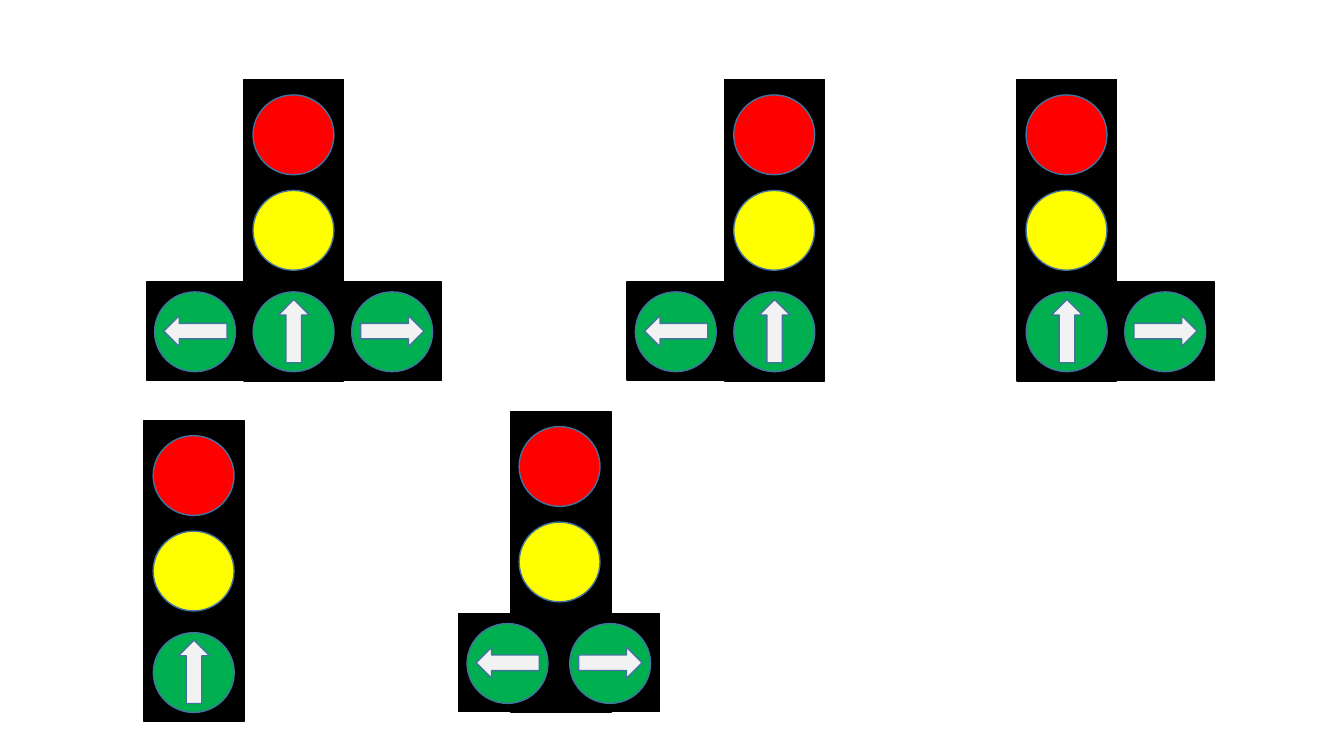
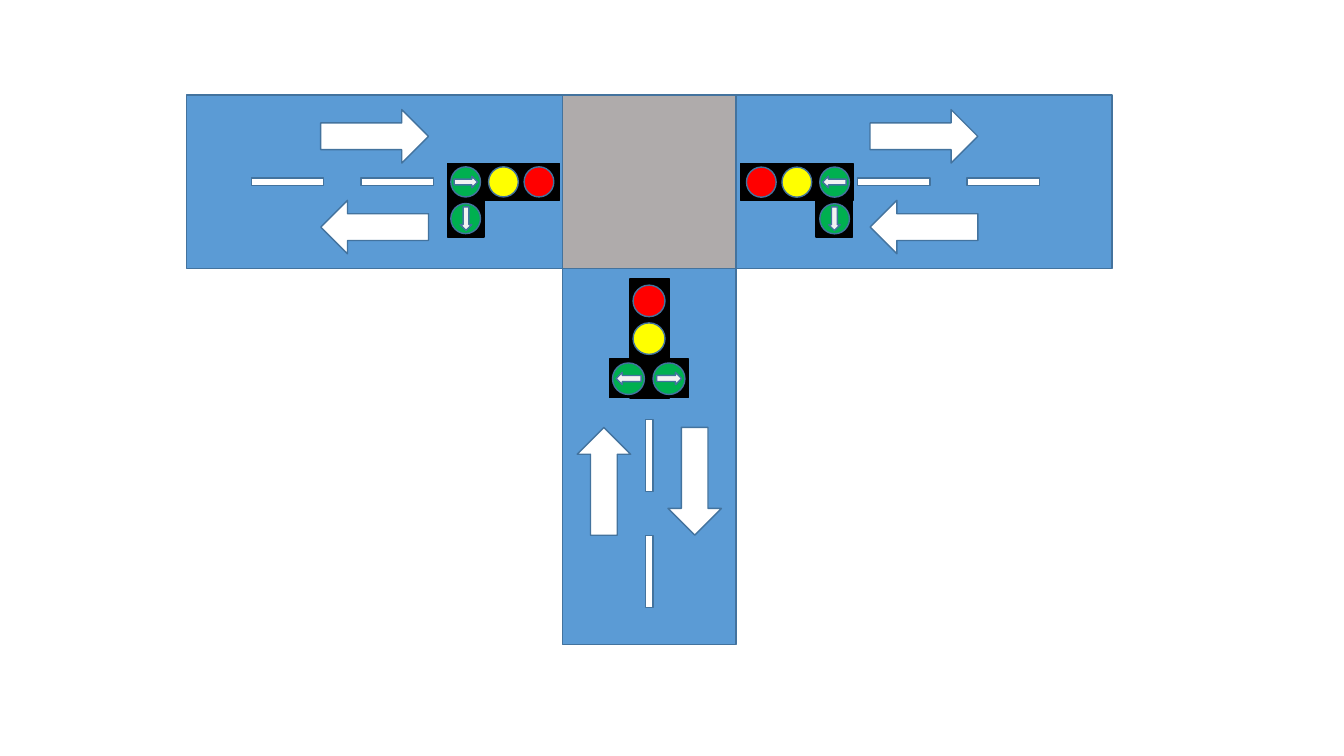
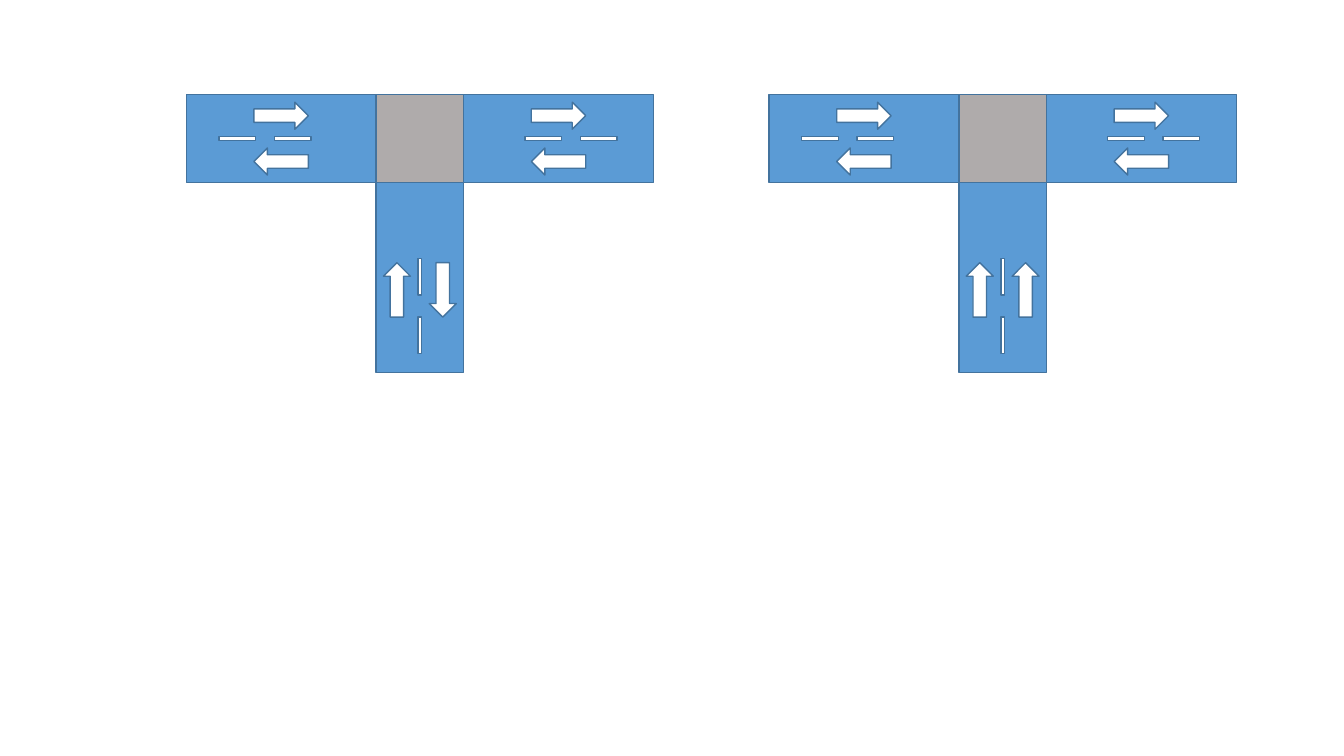
from math import cos, radians, sin

from pptx import Presentation
from pptx.dml.color import RGBColor
from pptx.enum.shapes import MSO_SHAPE
from pptx.util import Pt

BLACK, RED, YELLOW, GREEN = "000000", "FF0000", "FFFF00", "00B050"
ROAD, CROSSING, WHITE, PALE, OUTLINE = "5B9BD5", "AFABAB", "FFFFFF", "F2F2F2", "43739E"
RECT, OVAL, ARROW = MSO_SHAPE.RECTANGLE, MSO_SHAPE.OVAL, MSO_SHAPE.RIGHT_ARROW
RIGHT, DOWN, LEFT, UP = 0, 90, 180, 270


def color(hex_string):
    """Turn a hex string into a colour."""
    return RGBColor.from_string(hex_string)


def draw(group, origin, scale, turn, parts):
    """Draw parts (kind, dx, dy, width, height, fill, rotation) around an origin."""
    c, d = cos(radians(turn)), sin(radians(turn))
    for kind, dx, dy, w, h, fill, rotation in parts:
        x = origin[0] + scale * (dx * c - dy * d)
        y = origin[1] + scale * (dx * d + dy * c)
        w, h = w * scale, h * scale
        shape = group.shapes.add_shape(kind, Pt(x - w / 2), Pt(y - h / 2), Pt(w), Pt(h))
        shape.rotation = (rotation + turn) % 360
        shape.shadow.inherit = False
        shape.fill.solid()
        shape.fill.fore_color.rgb = color(fill)
        shape.line.color.rgb = color(BLACK if fill == BLACK else OUTLINE)
        shape.line.width = Pt(1)


prs = Presentation()
prs.slide_width, prs.slide_height = Pt(960), Pt(540)
slides = [prs.slides.add_slide(prs.slide_layouts[6]) for _ in range(3)]

# T-junctions: slide, centre of the crossing, scale, direction of the lower right lane
junctions = [
    (1, (463.8, 129.8), 1, DOWN),
    (2, (299.9, 99), 0.505, DOWN),
    (2, (716.2, 99), 0.505, UP),
]
ARM, LANE = 196.2, 32.4
for index, centre, scale, lower_right in junctions:
    parts = [(RECT, 0, 0, 124, 124, CROSSING, 0)]
    parts += [(RECT, dx, dy, 268.5, 124, ROAD, rotation)
              for dx, dy, rotation in [(-ARM, 0, 0), (ARM, 0, 0), (0, ARM, UP)]]
    parts += [(RECT, dx, 0, 51.8, 5.2, WHITE, 0) for dx in (174.6, 252.8, -258.4, -180)]
    parts += [(RECT, 0, dy, 51.8, 5.2, WHITE, DOWN) for dy in (278.4, 195.6)]
    lanes = [(dx, dy, rotation) for dy, rotation in [(-LANE, RIGHT), (LANE, LEFT)]
             for dx in (-ARM, ARM)]
    lanes += [(-LANE, 214, UP), (LANE, 214, lower_right)]
    parts += [(ARROW, dx, dy, 77, 38.2, WHITE, rotation) for dx, dy, rotation in lanes]
    draw(slides[index].shapes.add_group_shape(), centre, scale, 0, parts)

# Signals: slide, centre of the column, scale, turn, green lamps as (offset, direction)
SIDE = 70.4
left, ahead, right = (-SIDE, LEFT), (0, UP), (SIDE, RIGHT)
split = [(35.3, RIGHT), (-38, LEFT)]
signals = [
    (0, (209.9, 164.5), 1, 0, [right, left, ahead]),
    (0, (553.3, 164.5), 1, 0, [left, ahead]),
    (0, (762.1, 164.5), 1, 0, [right, ahead]),
    (0, (138.6, 407.9), 1, 0, [ahead]),
    (0, (400.7, 401.4), 1, 0, split),
    (1, (569.2, 130), 0.372, UP, [left, ahead]),
    (1, (359.6, 130), 0.372, DOWN, [right, ahead]),
    (1, (464, 241.9), 0.395, 0, split),
]
for index, centre, scale, turn, greens in signals:
    lamp_x = -1 if greens is split else -0.3
    parts = [(RECT, 0, 0, 71.3, 215.3, BLACK, 0)]
    parts += [(RECT, dx, 72, 70, 70, BLACK, 0) for dx, _ in greens if dx]
    parts += [(OVAL, dx - 0.2, 72.5, 57.8, 57, GREEN, 0) for dx, _ in greens]
    parts += [(OVAL, lamp_x, dy, 57.8, 57, fill, 0)
              for dy, fill in [(0, YELLOW), (-68.2, RED)]]
    parts += [(ARROW, dx, 72, 45.2, 22.2, PALE, direction) for dx, direction in greens]
    draw(slides[index].shapes.add_group_shape(), centre, scale, turn, parts)

prs.save("out.pptx")
